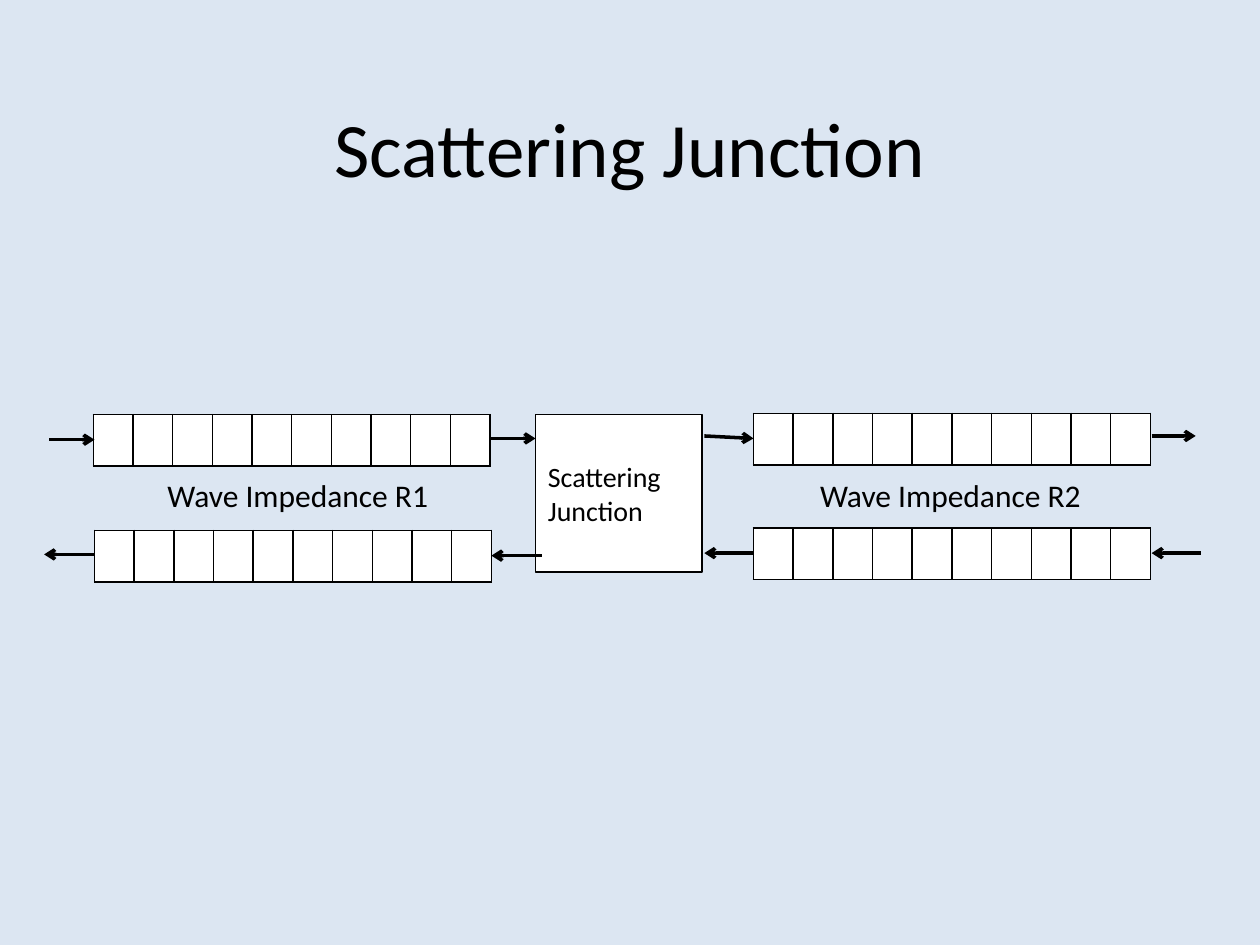
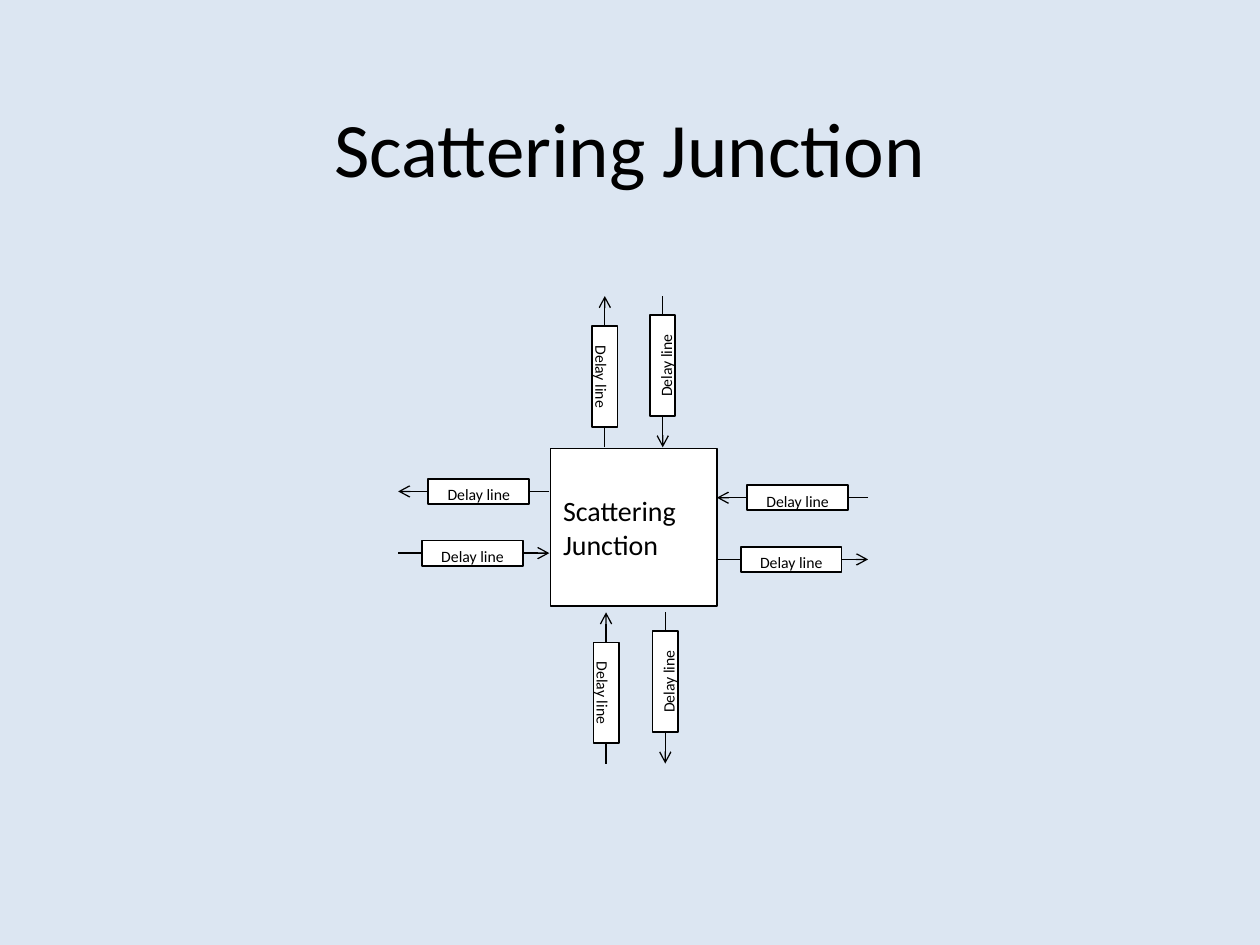
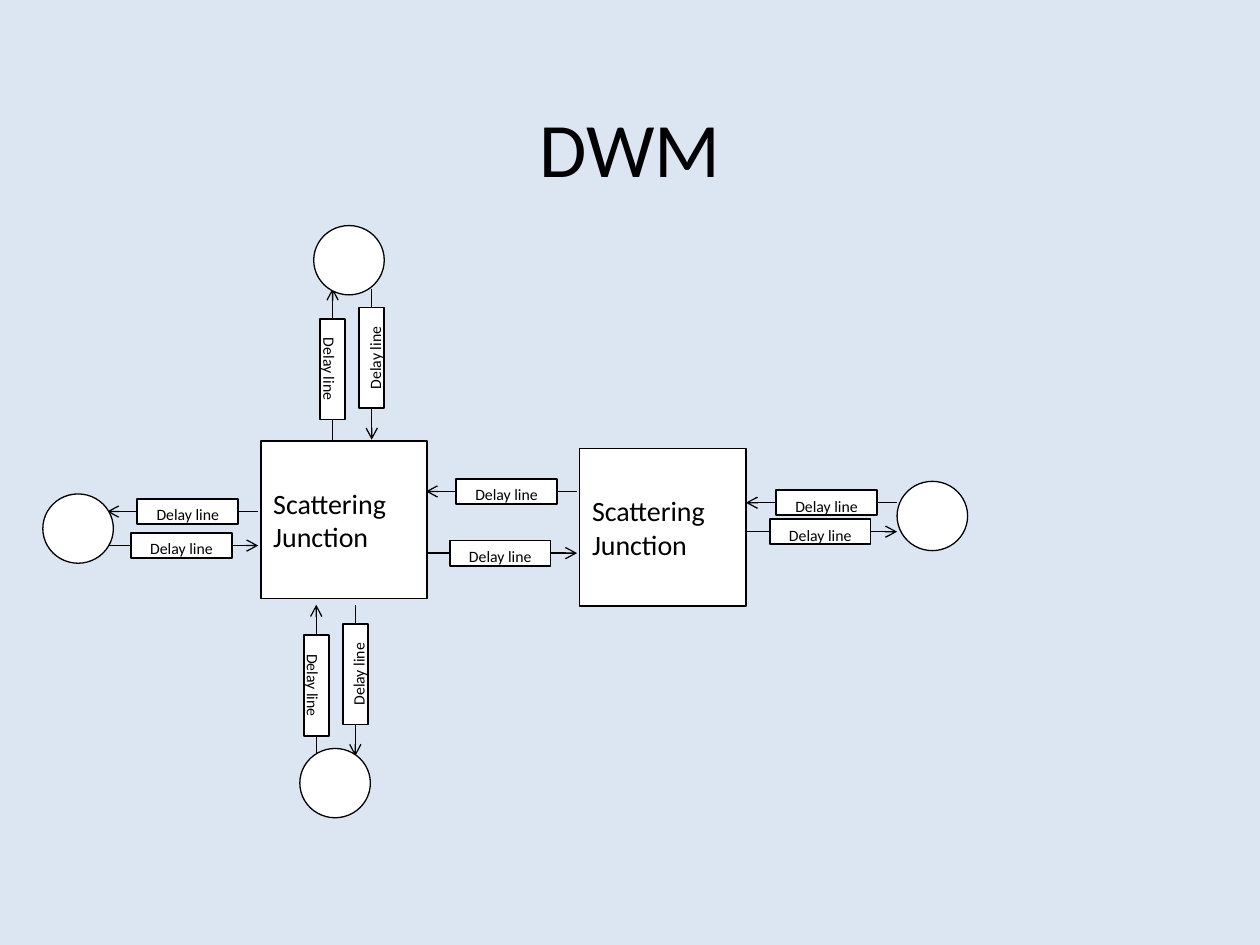
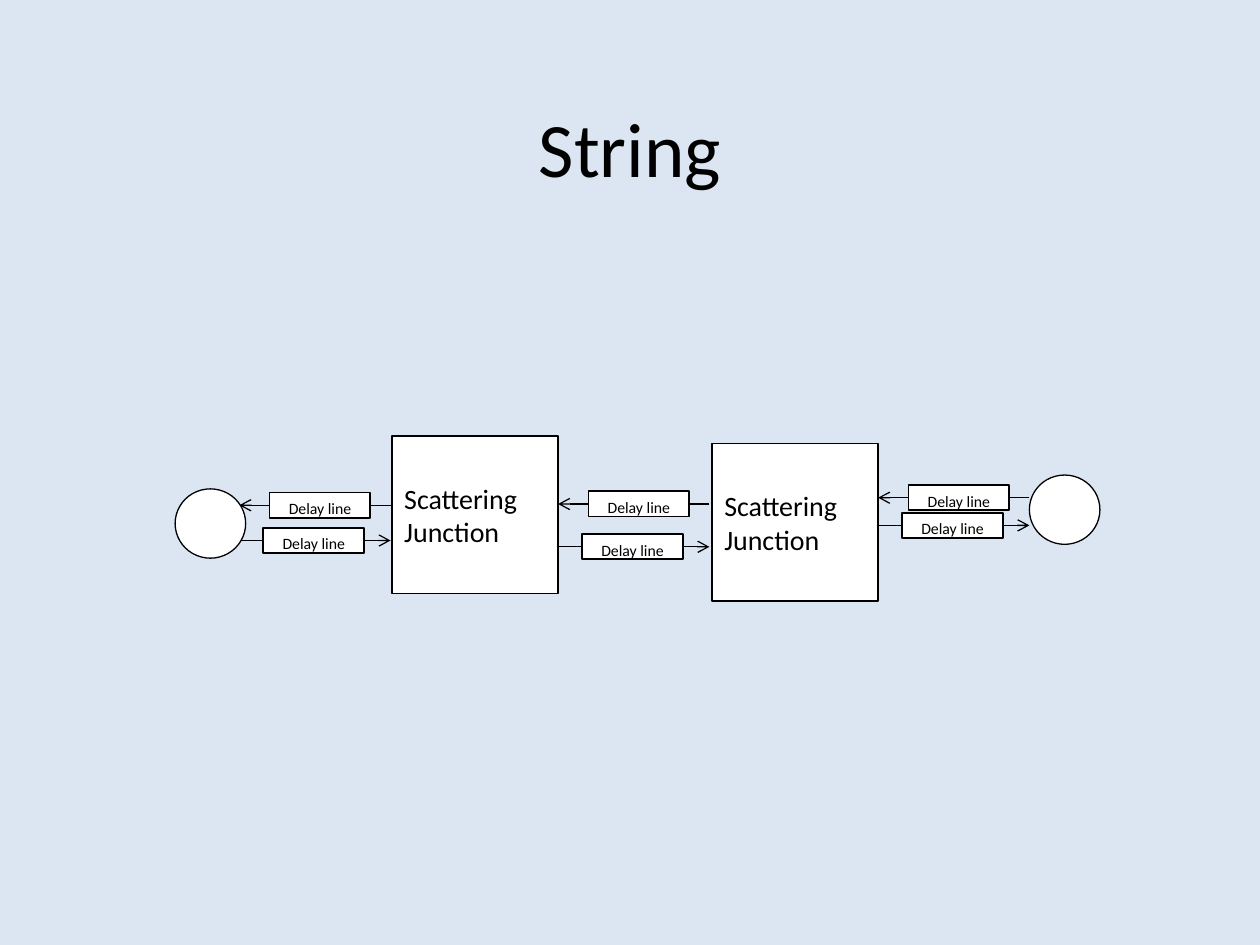
from dataclasses import dataclass

from lxml.etree import SubElement
from pptx import Presentation
from pptx.dml.color import RGBColor
from pptx.enum.shapes import MSO_CONNECTOR, MSO_SHAPE
from pptx.enum.text import MSO_ANCHOR, PP_ALIGN
from pptx.oxml.ns import qn
from pptx.util import Inches, Pt


@dataclass(frozen=True)
class Theme:
    """Hold the colours, font, type sizes and line widths."""

    back: RGBColor = RGBColor(0xDC, 0xE6, 0xF2)
    ink: RGBColor = RGBColor(0, 0, 0)
    paper: RGBColor = RGBColor(0xFF, 0xFF, 0xFF)
    font: str = "Calibri"
    title: int = 44
    label: int = 18
    body: int = 16
    small: int = 9
    thin: float = 0.75
    rule: float = 1
    thick: float = 2


THEME = Theme()
SPAN = 1.2
LONG, SHORT = 0.8, 0.2
CELLS = 10
HEADINGS = {
    "left": (-1, 0, 0, 0.56),
    "right": (1, 0, 0, 0.59),
    "up": (0, -1, 90, 0.56),
    "down": (0, 1, 270, 0.55),
}


def write(frame, text, size, align, anchor):
    """Put one styled paragraph into a text frame."""
    frame.vertical_anchor = anchor
    line = frame.paragraphs[0]
    line.text = text
    line.alignment = align
    line.font.name = THEME.font
    line.font.size = Pt(size)
    line.font.color.rgb = THEME.ink


def note(slide, text, x, y, w, h, size, align, anchor, wrap):
    """Add a text box."""
    box = slide.shapes.add_textbox(Inches(x), Inches(y), Inches(w), Inches(h))
    box.text_frame.word_wrap = wrap
    write(box.text_frame, text, size, align, anchor)


def block(shapes, kind, x, y, w, h, width):
    """Add a white outlined shape."""
    shape = shapes.add_shape(kind, Inches(x), Inches(y), Inches(w), Inches(h))
    shape.shadow.inherit = False
    shape.fill.solid()
    shape.fill.fore_color.rgb = THEME.paper
    shape.line.color.rgb = THEME.ink
    shape.line.width = Pt(width)
    return shape


def arrow(shapes, x1, y1, x2, y2, width):
    """Add a line with an open arrowhead at its end."""
    line = shapes.add_connector(
        MSO_CONNECTOR.STRAIGHT, Inches(x1), Inches(y1), Inches(x2), Inches(y2)
    )
    line.line.color.rgb = THEME.ink
    line.line.width = Pt(width)
    props = line.element.spPr
    SubElement(props.find(qn("a:ln")), qn("a:tailEnd"), type="arrow")
    SubElement(props, qn("a:effectLst"))


def delay(slide, heading, x, y):
    """Add a delay line that starts at x, y and runs along a heading."""
    dx, dy, turn, shift = HEADINGS[heading]
    shapes = slide.shapes.add_group_shape().shapes
    arrow(shapes, x, y, x + dx * SPAN, y + dy * SPAN, THEME.thin)
    left = x + dx * shift - LONG / 2
    top = y + dy * shift - SHORT / 2
    box = block(shapes, MSO_SHAPE.RECTANGLE, left, top, LONG, SHORT, THEME.rule)
    box.rotation = turn
    box.text_frame.margin_bottom = 0
    write(box.text_frame, "Delay line", THEME.small, PP_ALIGN.CENTER, MSO_ANCHOR.TOP)


def across(slide, x, high, low):
    """Add a level pair of delay lines, left above right."""
    delay(slide, "left", x + SPAN, high)
    delay(slide, "right", x, low)


def upright(slide, y, near, far):
    """Add an upright pair of delay lines, up beside down."""
    delay(slide, "up", near, y + SPAN)
    delay(slide, "down", far, y)


def node(slide, x, y):
    """Add a scattering junction."""
    box = block(slide.shapes, MSO_SHAPE.RECTANGLE, x, y, 1.32, 1.25, THEME.rule)
    write(
        box.text_frame, "Scattering Junction", THEME.body, PP_ALIGN.LEFT, MSO_ANCHOR.MIDDLE
    )


def ring(slide, x, y):
    """Add an empty end circle."""
    block(slide.shapes, MSO_SHAPE.OVAL, x, y, 0.56, 0.55, THEME.thin)


def edge(cell):
    """Draw a thin border round a cell."""
    props = cell._tc.get_or_add_tcPr()
    for side in ("a:lnL", "a:lnR", "a:lnT", "a:lnB"):
        line = SubElement(props, qn(side), w=str(Pt(THEME.rule)))
        fill = SubElement(line, qn("a:solidFill"))
        SubElement(fill, qn("a:srgbClr"), val=str(THEME.ink))


def strip(slide, x, y):
    """Add a row of empty delay cells."""
    table = slide.shapes.add_table(
        1, CELLS, Inches(x), Inches(y), Inches(3.15), Inches(0.41)
    ).table
    table.first_row = False
    table.horz_banding = False
    for cell in table.iter_cells():
        edge(cell)
        cell.fill.solid()
        cell.fill.fore_color.rgb = THEME.paper


def page(deck, title):
    """Add a slide with its title."""
    slide = deck.slides.add_slide(deck.slide_layouts[6])
    note(
        slide, title, 0.5, 0.54, 9, 1.25,
        THEME.title, PP_ALIGN.CENTER, MSO_ANCHOR.MIDDLE, True,
    )
    return slide


def guide(deck):
    """Build the slide with two wave guides and a junction."""
    slide = page(deck, "Scattering Junction")
    for x, y in ((0.74, 3.29), (0.75, 4.21), (5.98, 3.28), (5.98, 4.19)):
        strip(slide, x, y)
    node(slide, 4.25, 3.29)
    for ends in (
        (0.39, 3.49, 0.75, 3.49),
        (3.9, 3.48, 4.25, 3.48),
        (5.59, 3.46, 5.98, 3.48),
        (9.14, 3.46, 9.49, 3.46),
        (0.75, 4.4, 0.35, 4.4),
        (4.3, 4.41, 3.9, 4.41),
        (5.98, 4.39, 5.59, 4.39),
        (9.53, 4.39, 9.14, 4.39),
    ):
        arrow(slide.shapes, *ends, THEME.thick)
    for x, name in ((1.23, "R1"), (6.41, "R2")):
        note(
            slide, f"Wave Impedance {name}", x, 3.73, 2.31, 0.4,
            THEME.label, PP_ALIGN.LEFT, MSO_ANCHOR.TOP, False,
        )


def cross(deck):
    """Build the slide with one junction and four pairs."""
    slide = page(deck, "Scattering Junction")
    across(slide, 3.16, 3.9, 4.39)
    upright(slide, 4.86, 4.81, 5.28)
    upright(slide, 2.35, 4.8, 5.26)
    node(slide, 4.37, 3.56)
    across(slide, 5.69, 3.95, 4.44)


def mesh(deck):
    """Build the slide with a mesh of two junctions."""
    slide = page(deck, "DWM")
    across(slide, 0.85, 4.06, 4.33)
    upright(slide, 4.8, 2.51, 2.82)
    upright(slide, 2.29, 2.64, 2.95)
    node(slide, 2.07, 3.5)
    across(slide, 3.38, 3.9, 4.39)
    across(slide, 5.92, 3.99, 4.22)
    node(slide, 4.6, 3.56)
    for x, y in ((0.34, 3.92), (2.49, 1.79), (2.38, 5.94), (7.12, 3.82)):
        ring(slide, x, y)


def string(deck):
    """Build the slide with a string of two junctions."""
    slide = page(deck, "String")
    across(slide, 1.9, 4.01, 4.29)
    node(slide, 3.11, 3.46)
    across(slide, 4.43, 4, 4.34)
    across(slide, 6.97, 3.95, 4.17)
    node(slide, 5.65, 3.52)
    for x, y in ((1.39, 3.88), (8.17, 3.77)):
        ring(slide, x, y)


def main():
    """Build and save the deck."""
    deck = Presentation()
    deck.slide_width = Inches(10)
    deck.slide_height = Inches(7.5)
    fill = deck.slide_master.background.fill
    fill.solid()
    fill.fore_color.rgb = THEME.back
    for build in (guide, cross, mesh, string):
        build(deck)
    deck.save("out.pptx")


main()
